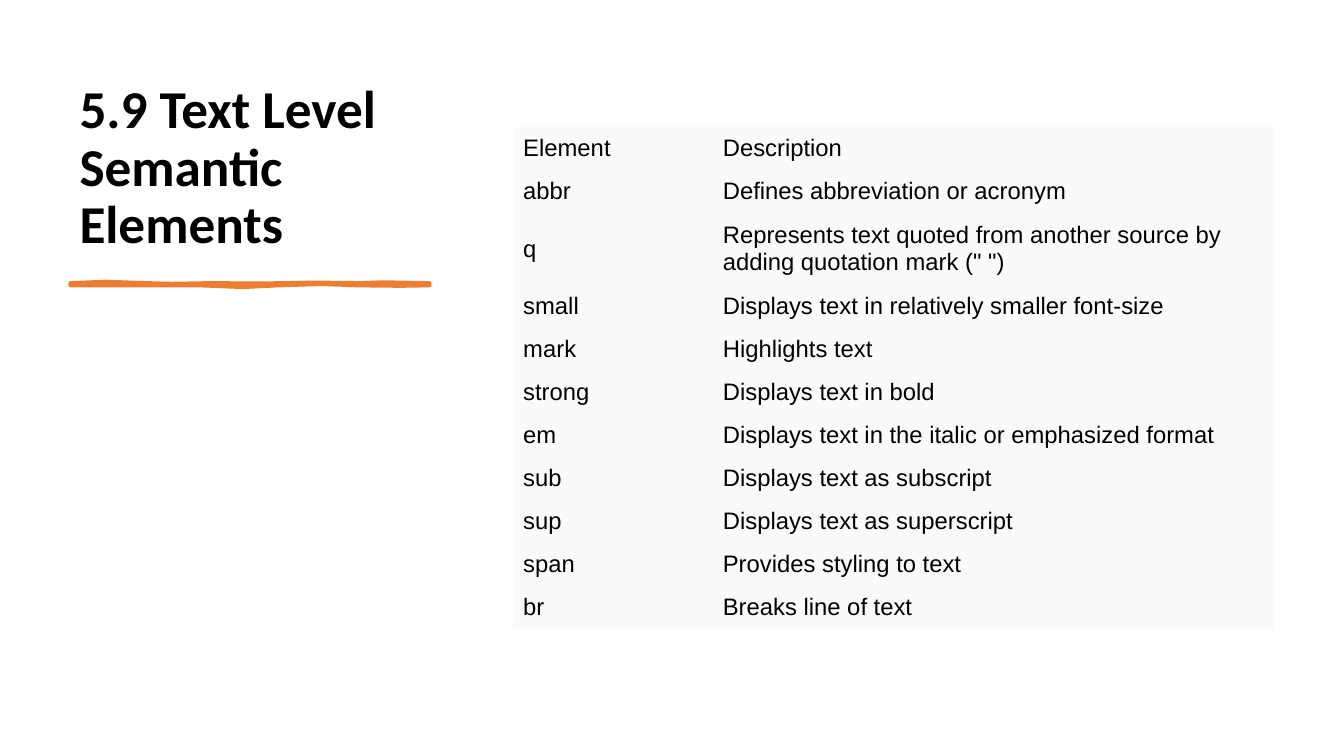
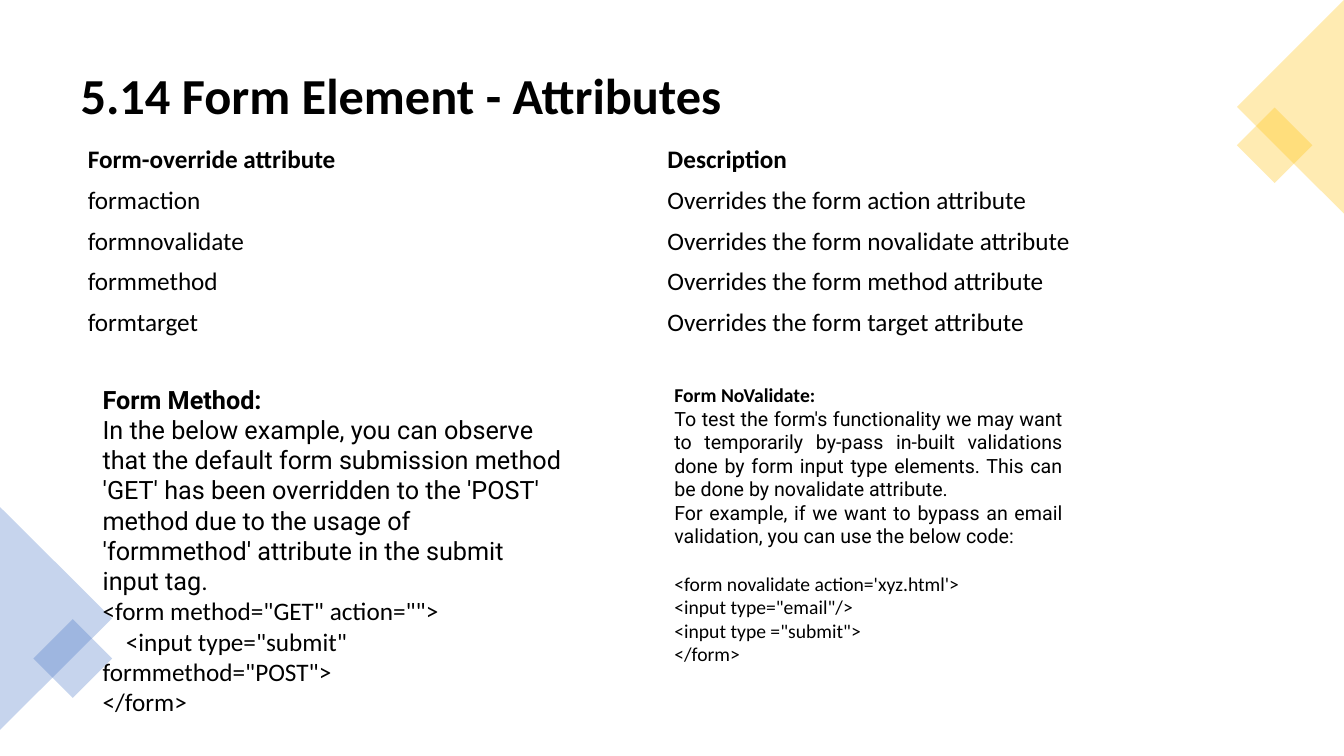
import dataclasses
import itertools

import lxml.etree
import pptx
import pptx.dml.color
import pptx.enum.shapes
import pptx.enum.text
import pptx.oxml.ns
import pptx.util

ANCHOR = pptx.enum.text.MSO_ANCHOR
SHAPE = pptx.enum.shapes.MSO_SHAPE
PLAIN_TABLE = "{2D5ABB26-0587-4C30-8999-92F81FD0307C}"


@dataclasses.dataclass(frozen=True)
class Theme:
    width: float = 13.33
    height: float = 7.5
    ink: str = "000000"
    panel: str = "FAFAFA"
    orange: str = "ED7D31"
    gold: str = "FFC000"
    blue: str = "4472C4"
    heading: str = "Calibri"
    prose: str = "Roboto"
    plain: str = "Arial"
    side_title: int = 38
    top_title: int = 36
    body: int = 18
    element_table: int = 17
    small: int = 14


THEME = Theme()


@dataclasses.dataclass(frozen=True)
class Line:
    """One paragraph of a text block."""
    text: str
    font: str = THEME.heading
    bold: bool = False
    justified: bool = False
    space_before: float = 0
    first_indent: float = 0


def rgb(value):
    return pptx.dml.color.RGBColor.from_string(value)


def area(left, top, width, height):
    """Turn percentages of the slide into left, top, width, height."""
    across = pptx.util.Inches(THEME.width) / 100
    down = pptx.util.Inches(THEME.height) / 100
    return round(left * across), round(top * down), round(width * across), round(height * down)


def style(paragraph, font, size, bold=False):
    paragraph.font.name = font
    paragraph.font.size = pptx.util.Pt(size)
    paragraph.font.bold = bold
    paragraph.font.color.rgb = rgb(THEME.ink)


def paint(shape, colour, opacity=100):
    shape.shadow.inherit = False
    shape.fill.solid()
    shape.fill.fore_color.rgb = rgb(colour)
    if opacity < 100:
        colour_node = shape.fill._xPr.find(".//" + pptx.oxml.ns.qn("a:srgbClr"))
        alpha = lxml.etree.SubElement(colour_node, pptx.oxml.ns.qn("a:alpha"))
        alpha.set("val", str(opacity * 1000))


# Shared parts
def add_title(slide, box, text, size, anchor):
    frame = slide.shapes.add_textbox(*box).text_frame
    frame.word_wrap = True
    frame.vertical_anchor = anchor
    title = frame.paragraphs[0]
    title.text = text
    title.line_spacing = 0.9
    style(title, THEME.heading, size, bold=True)


def add_grid(slide, box, rows, columns, heights, font, size, fill=None, bold_head=False):
    """Table whose columns and rows split the box by their shares."""
    frame = slide.shapes.add_table(len(rows), len(columns), *box)
    table = frame.table
    table.first_row = table.horz_banding = False
    table._tbl.tblPr.find(pptx.oxml.ns.qn("a:tableStyleId")).text = PLAIN_TABLE
    for column, share in zip(table.columns, columns):
        column.width = round(box[2] * share / sum(columns))
    for row, share in zip(table.rows, heights):
        row.height = round(box[3] * share / sum(heights))
    for r, c in itertools.product(range(len(rows)), range(len(columns))):
        cell = table.cell(r, c)
        cell.vertical_anchor = ANCHOR.MIDDLE
        if fill:
            cell.fill.solid()
            cell.fill.fore_color.rgb = rgb(fill)
        else:
            cell.fill.background()
        entry = cell.text_frame.paragraphs[0]
        entry.text = rows[r][c]
        style(entry, font, size, bold_head and r == 0)


def add_block(slide, box, lines, size):
    frame = slide.shapes.add_textbox(*box).text_frame
    frame.word_wrap = True
    frame.auto_size = pptx.enum.text.MSO_AUTO_SIZE.SHAPE_TO_FIT_TEXT
    for number, line in enumerate(lines):
        paragraph = frame.add_paragraph() if number else frame.paragraphs[0]
        paragraph.text = line.text
        style(paragraph, line.font, size, line.bold)
        if line.justified:
            paragraph.alignment = pptx.enum.text.PP_ALIGN.JUSTIFY
        if line.space_before:
            paragraph.space_before = pptx.util.Pt(line.space_before)
        if line.first_indent:
            properties = paragraph._p.get_or_add_pPr()
            properties.set("marL", "0")
            properties.set("indent", str(pptx.util.Inches(line.first_indent)))


def add_brush_stroke(slide, box):
    """Hand-drawn rule: upper edge out, lower edge back, in shares of the box."""
    left, top, width, height = box
    upper = [(0, 0.33), (0.1, 0.1), (0.19, 0.3), (0.28, 0.45), (0.39, 0.33), (0.52, 0.4),
             (0.6, 0.33), (0.68, 0.25), (0.81, 0.33), (0.87, 0.2), (1, 0.33)]
    lower = [(1, 0.67), (0.92, 0.75), (0.8, 0.67), (0.7, 0.45), (0.58, 0.67), (0.48, 0.95),
             (0.36, 0.67), (0.21, 0.67), (0, 0.67)]
    points = [(left + x * width, top + y * height) for x, y in upper + lower]
    builder = slide.shapes.build_freeform(*points[0])
    builder.add_line_segments(points[1:], close=True)
    stroke = builder.convert_to_shape()
    paint(stroke, THEME.orange)
    stroke.line.color.rgb = rgb(THEME.orange)
    stroke.line.width = pptx.util.Pt(3)
    lxml.etree.SubElement(stroke.line._get_or_add_ln(), pptx.oxml.ns.qn("a:round"))


def add_edge_motif(slide, box, colour, points_left):
    """Triangle on a slide edge with a small diamond near its tip."""
    left, top, width, height = box
    side = height * 0.25
    tip_share = 0.35 if points_left else 0.65
    parts = [(SHAPE.ISOSCELES_TRIANGLE, 0.5, 0.5, height, width, 270 if points_left else 90),
             (SHAPE.RECTANGLE, tip_share, 0.68, side, side, 45)]
    for kind, x, y, across, down, turn in parts:
        part = slide.shapes.add_shape(
            kind, round(left + x * width - across / 2), round(top + y * height - down / 2),
            round(across), round(down))
        part.rotation = turn
        paint(part, colour, opacity=30)
        part.line.fill.background()


# Slides
def semantic_elements(slide):
    add_title(slide, area(5.18, 9.33, 28.13, 25.07), "5.9 Text Level Semantic Elements",
              THEME.side_title, ANCHOR.BOTTOM)
    add_brush_stroke(slide, area(5.25, 37.2, 26.7, 0.8))
    elements = [
        ("Element", "Description"),
        ("abbr", "Defines abbreviation or acronym"),
        ("q", "Represents text quoted from another source by adding quotation mark (\" \")"),
        ("small", "Displays text in relatively smaller font-size"),
        ("mark", "Highlights text"),
        ("strong", "Displays text in bold"),
        ("em", "Displays text in the italic or emphasized format"),
        ("sub", "Displays text as subscript"),
        ("sup", "Displays text as superscript"),
        ("span", "Provides styling to text"),
        ("br", "Breaks line of text"),
    ]
    heights = [1.67 if name == "q" else 1 for name, _ in elements]
    add_grid(slide, area(38.18, 16.8, 56.64, 66.4), elements, (1.98, 5.57), heights,
             THEME.plain, THEME.element_table, fill=THEME.panel)


def form_attributes(slide):
    add_title(slide, area(5.25, 4.67, 89.5, 16.53), "5.14 Form Element - Attributes",
              THEME.top_title, ANCHOR.MIDDLE)
    add_edge_motif(slide, area(92.05, 0, 7.95, 28.27), THEME.gold, points_left=True)
    add_edge_motif(slide, area(0, 67.07, 8.33, 29.47), THEME.blue, points_left=False)

    overrides = [("Form-override attribute", "Description")]
    overrides += [(f"form{name}", f"Overrides the form {name} attribute")
                  for name in ("action", "novalidate", "method", "target")]
    add_grid(slide, area(5.78, 18.4, 86.27, 27.07), overrides, (1, 1), [1] * len(overrides),
             THEME.heading, THEME.body, bold_head=True)

    # Worked examples
    add_block(slide, area(6.9, 50.13, 35.71, 49.87), [
        Line("Form Method:", THEME.prose, bold=True),
        Line("In the below example, you can observe that the default form submission method "
             "'GET' has been overridden to the 'POST' method due to the usage "
             "of 'formmethod' attribute in the submit input tag. ", THEME.prose),
        Line("<form method=\"GET\" action=\"\">"),
        Line("<input type=\"submit\" formmethod=\"POST\">", first_indent=0.23),
        Line("</form>"),
    ], THEME.body)
    add_block(slide, area(49.44, 50, 30.38, 39.07), [
        Line("Form NoValidate:", bold=True),
        Line("To test the form's functionality we may want to temporarily by-pass in-built "
             "validations done by form input type elements. This can be done by novalidate "
             "attribute.", THEME.prose, justified=True),
        Line("For example, if we want to bypass an email validation, you can use the below "
             "code:", THEME.prose, justified=True),
        Line("<form novalidate action='xyz.html'>", space_before=17),
        Line("<input type=\"email\"/>"),
        Line("<input type =\"submit\">"),
        Line("</form>"),
    ], THEME.small)


def main():
    deck = pptx.Presentation()
    deck.slide_width = pptx.util.Inches(THEME.width)
    deck.slide_height = pptx.util.Inches(THEME.height)
    for build in (semantic_elements, form_attributes):
        build(deck.slides.add_slide(deck.slide_layouts[6]))
    deck.save("out.pptx")


if __name__ == "__main__":
    main()
